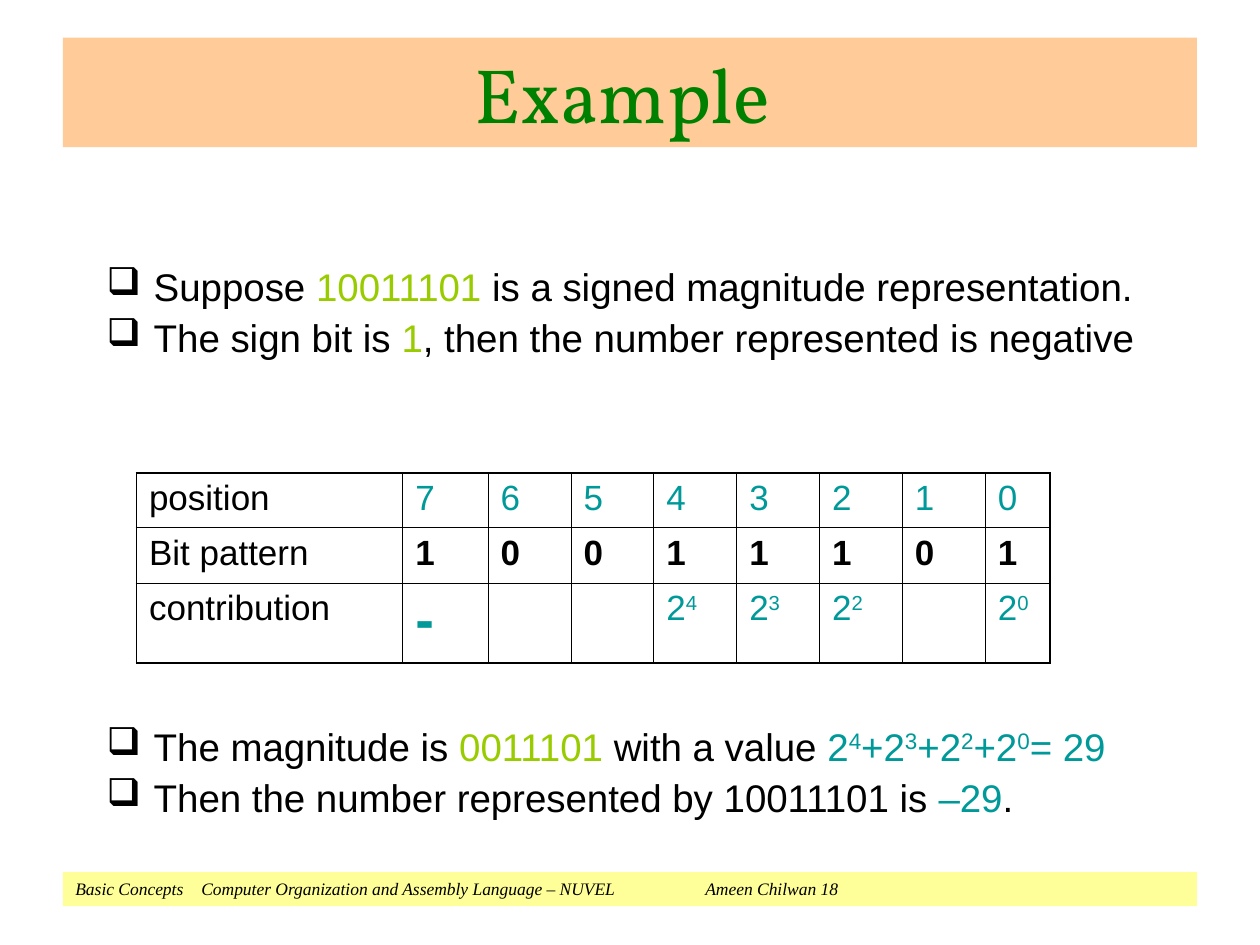
"""Build the signed magnitude example slide."""
from lxml.etree import SubElement
from pptx import Presentation
from pptx.dml.color import RGBColor
from pptx.enum.shapes import MSO_SHAPE
from pptx.enum.text import MSO_ANCHOR, PP_ALIGN
from pptx.oxml.ns import qn
from pptx.util import Cm, Pt

BLACK = RGBColor(0x00, 0x00, 0x00)
GREEN = RGBColor(0x00, 0x80, 0x00)
LIME = RGBColor(0x99, 0xCC, 0x00)
TEAL = RGBColor(0x00, 0x99, 0x99)
PEACH = RGBColor(0xFF, 0xCC, 0x99)
YELLOW = RGBColor(0xFF, 0xFF, 0x99)

TITLE = "Example "
FOOTER = "Basic Concepts\tComputer Organization and Assembly Language – NUVEL\tAmeen Chilwan 18"
FOOTER_TABS = (2.54, 12.7)


def power(exponent, lead=""):
    return [(lead + "2", TEAL), (exponent, TEAL, True)]


PREMISE = [
    [("Suppose ", BLACK), ("10011101", LIME), (" is a signed magnitude representation.", BLACK)],
    [("The sign bit is ", BLACK), ("1", LIME), (", then the number represented is negative", BLACK)],
]
RESULT = [
    [("The magnitude is ", BLACK), ("0011101", LIME), (" with a value ", BLACK),
     *power("4"), *power("3", "+"), *power("2", "+"), *power("0", "+"), ("= 29", TEAL)],
    [("Then the number represented by 10011101 is ", BLACK), ("–29", TEAL), (".", BLACK)],
]
BULLET_BLOCKS = [(5.28, PREMISE), (14.55, RESULT)]

POSITIONS = "76543210"
BITS = "10011101"
COL_WIDTHS = [5.37, 1.72] + [1.67] * 6 + [1.3]
ROW_HEIGHTS = [1.11, 1.11, 1.62]
THICK, THIN = 1.08, 0.45


def add_run(p, text, color, sup=False, size=20, font="Arial", bold=False, italic=False):
    r = p.add_run()
    r.text = text
    f = r.font
    f.name, f.size, f.bold, f.italic = font, Pt(size), bold, italic
    f.color.rgb = color
    if sup:
        r._r.get_or_add_rPr().set("baseline", "30000")


def add_band(s, top, height, color):
    sp = s.shapes.add_shape(MSO_SHAPE.RECTANGLE, Cm(1.27), Cm(top), Cm(22.86), Cm(height))
    sp.shadow.inherit = False
    sp.fill.solid()
    sp.fill.fore_color.rgb = color
    sp.line.fill.background()
    return sp.text_frame


def add_color(parent, color):
    SubElement(parent, qn("a:srgbClr")).set("val", str(color))


def add_footer(s):
    tf = add_band(s, 17.58, 0.69, YELLOW)
    tf.vertical_anchor = MSO_ANCHOR.TOP
    p = tf.paragraphs[0]
    p.alignment = PP_ALIGN.LEFT
    tabs = SubElement(p._p.get_or_add_pPr(), qn("a:tabLst"))
    for pos in FOOTER_TABS:
        tab = SubElement(tabs, qn("a:tab"))
        tab.set("pos", str(Cm(pos)))
        tab.set("algn", "l")
    add_run(p, FOOTER, BLACK, size=10, font="Times New Roman", italic=True)


def add_title(s):
    tf = add_band(s, 0.76, 2.21, PEACH)
    tf.vertical_anchor = MSO_ANCHOR.MIDDLE
    p = tf.paragraphs[0]
    p.alignment = PP_ALIGN.CENTER
    add_run(p, TITLE, GREEN, size=44, font="Vollkorn")


def add_bullets(s, top, lines):
    tf = s.shapes.add_textbox(Cm(1.9), Cm(top), Cm(21.6), Cm(2.1)).text_frame
    tf.word_wrap = True
    for i, runs in enumerate(lines):
        p = tf.add_paragraph() if i else tf.paragraphs[0]
        p.line_spacing = 0.9
        p.space_before = Pt(5.5)
        pPr = p._p.get_or_add_pPr()
        pPr.set("marL", str(Cm(0.95)))
        pPr.set("indent", str(Cm(-0.95)))
        add_color(SubElement(pPr, qn("a:buClr")), BLACK)
        SubElement(pPr, qn("a:buChar")).set("char", "❑")
        for run in runs:
            add_run(p, *run, size=22)


def set_borders(cell, widths):
    tcPr = cell._tc.get_or_add_tcPr()
    for side, width in zip("LRTB", widths):
        ln = SubElement(tcPr, qn("a:ln" + side))
        ln.set("w", str(Pt(width)))
        add_color(SubElement(ln, qn("a:solidFill")), BLACK)


def contribution(position, bit):
    if bit == "0":
        return [], {}
    if position == POSITIONS[0]:
        return [("-", TEAL)], {"size": 32, "bold": True}
    return power(position), {}


def add_bit_table(s):
    rows = [
        [([("position", BLACK)], {})] + [([(n, TEAL)], {}) for n in POSITIONS],
        [([("Bit pattern", BLACK)], {})] + [([(b, BLACK)], {"bold": True}) for b in BITS],
        [([("contribution", BLACK)], {})] + [contribution(n, b) for n, b in zip(POSITIONS, BITS)],
    ]
    last_row, last_col = len(rows) - 1, len(COL_WIDTHS) - 1
    tbl = s.shapes.add_table(len(rows), len(COL_WIDTHS), Cm(2.75), Cm(9.53),
                             Cm(sum(COL_WIDTHS)), Cm(sum(ROW_HEIGHTS))).table
    tbl.first_row = tbl.horz_banding = False
    for col, width in zip(tbl.columns, COL_WIDTHS):
        col.width = Cm(width)
    for i, row in enumerate(rows):
        tbl.rows[i].height = Cm(ROW_HEIGHTS[i])
        for j, (runs, style) in enumerate(row):
            cell = tbl.cell(i, j)
            outer = (j == 0, j == last_col, i == 0, i == last_row)
            set_borders(cell, [THICK if edge else THIN for edge in outer])
            cell.fill.background()
            p = cell.text_frame.paragraphs[0]
            p.space_before = Pt(style.get("size", 20) / 4)
            for run in runs:
                add_run(p, *run, **style)


def main():
    prs = Presentation()
    prs.slide_width, prs.slide_height = Cm(25.4), Cm(19.05)
    s = prs.slides.add_slide(prs.slide_layouts[6])
    add_footer(s)
    add_title(s)
    for top, lines in BULLET_BLOCKS:
        add_bullets(s, top, lines)
    add_bit_table(s)
    prs.save("out.pptx")


if __name__ == "__main__":
    main()
